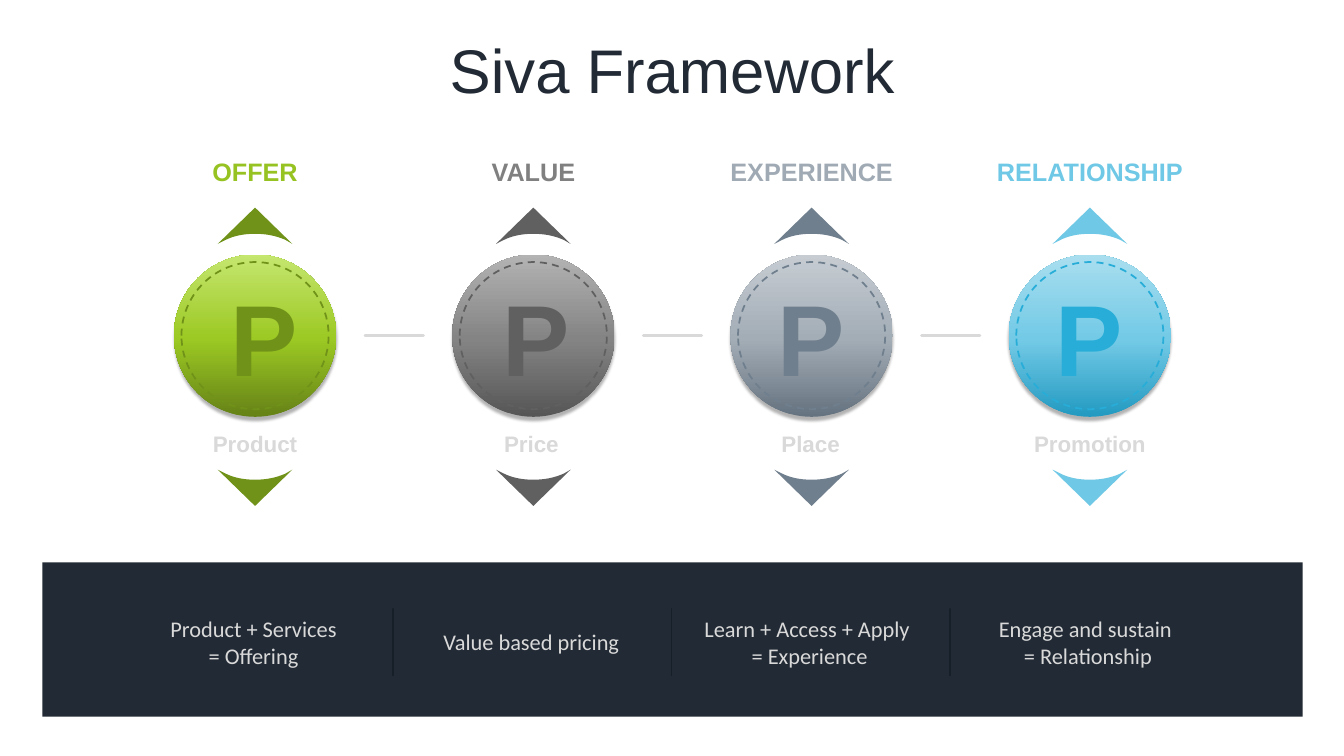
from copy import deepcopy

from lxml import etree
from pptx import Presentation
from pptx.dml.color import RGBColor
from pptx.enum.dml import MSO_LINE
from pptx.enum.shapes import MSO_CONNECTOR, MSO_SHAPE
from pptx.enum.text import MSO_AUTO_SIZE, PP_ALIGN
from pptx.oxml.ns import qn
from pptx.util import Inches, Pt

STRAIGHT = MSO_CONNECTOR.STRAIGHT
OVAL, RECTANGLE = MSO_SHAPE.OVAL, MSO_SHAPE.RECTANGLE
DASH = MSO_LINE.DASH
CENTER = PP_ALIGN.CENTER
GROW = MSO_AUTO_SIZE.SHAPE_TO_FIT_TEXT

NAVY, PALE, DIVIDER = "222A35", "D9D9D9", "161F28"
FIRST_CENTER, COLUMN_STEP = 2.53, 2.76
COIN_CENTER = 3.33

# Offsets from the arrow tip; the last six points are two Bézier curves.
ARROW_OUTLINE = [(0.37, 0.36), (-0.37, 0.36), (-0.29, 0.32),
                 (-0.21, 0.28), (-0.11, 0.26), (0, 0.26),
                 (0.11, 0.26), (0.21, 0.28), (0.3, 0.32)]

HEADING = {"size": Pt(18), "name": "Arial", "bold": True}
LETTER = {"size": Pt(72), "name": "Arial", "bold": True}
LABEL = {"size": Pt(16), "name": "Arial", "bold": True}
FORMULA = {"size": Pt(16), "name": "Calibri"}
TITLE = {"size": Pt(44), "name": "Arial"}

# Shifts are the offsets of the letter, label and formula from the column center.
COLUMNS = [
    {"heading": "OFFER", "heading_color": "96C222", "heading_width": 1.61,
     "label": "Product", "formula": ["Product + Services ", "= Offering "],
     "letter_color": "709219", "arrow_color": "709219",
     "gradient": ["658217", "9CC923", "C5E66F"], "shifts": (0.09, 0, 0.01)},
    {"heading": "VALUE", "heading_color": "808080", "heading_width": 1.61,
     "label": "Price", "formula": ["Value based pricing"],
     "letter_color": "606060", "arrow_color": "606060",
     "gradient": ["565656", "848484", "B3B3B3"], "shifts": (0.03, -0.02, -0.02)},
    {"heading": "EXPERIENCE", "heading_color": "A0AAB4", "heading_width": 1.99,
     "label": "Place", "formula": ["Learn + Access + Apply ", "= Experience"],
     "letter_color": "707F8E", "arrow_color": "707F8E",
     "gradient": ["65727F", "A3ADB6", "C6CCD2"], "shifts": (0, -0.01, -0.02)},
    {"heading": "RELATIONSHIP", "heading_color": "6FC8E5", "heading_width": 2.2,
     "label": "Promotion", "formula": ["Engage and sustain ", "= Relationship"],
     "letter_color": "27ADD8", "arrow_color": "6FC8E5",
     "gradient": ["239AC1", "73CAE6", "A9DEEF"], "shifts": (-0.01, 0, -0.02)},
]


def rgb(color):
    return RGBColor.from_string(color)


def add_text(slide, center, top, width, height, lines, color, font_format):
    box = slide.shapes.add_textbox(
        Inches(center - width / 2), Inches(top), Inches(width), Inches(height))
    frame = box.text_frame
    frame.word_wrap = True
    frame.auto_size = GROW
    for index, line in enumerate(lines):
        paragraph = frame.paragraphs[0] if index == 0 else frame.add_paragraph()
        paragraph.alignment = CENTER
        run = paragraph.add_run()
        run.text = line
        run.font.color.rgb = rgb(color)
        for name, value in font_format.items():
            setattr(run.font, name, value)


def add_line(slide, start, end, color, width):
    line = slide.shapes.add_connector(STRAIGHT, *map(Inches, start + end))
    line.line.color.rgb = rgb(color)
    line.line.width = Pt(width)
    properties = line._element.spPr
    properties.find(qn("a:ln")).set("cap", "rnd")
    etree.SubElement(properties, qn("a:effectLst"))


def fill_plain(shape, color):
    shape.shadow.inherit = False
    shape.fill.solid()
    shape.fill.fore_color.rgb = rgb(color)
    shape.line.fill.background()


def add_circle(slide, center, diameter):
    corner = Inches(center - diameter / 2), Inches(COIN_CENTER - diameter / 2)
    circle = slide.shapes.add_shape(OVAL, *corner, Inches(diameter), Inches(diameter))
    circle.shadow.inherit = False
    return circle


def set_gradient(shape, colors):
    """Fill from bottom to top with three colors."""
    shape.fill.gradient()
    shape.fill.gradient_angle = 90
    stop_list = shape._element.spPr.find(".//" + qn("a:gsLst"))
    stop_list.append(deepcopy(stop_list[0]))
    for stop, position, color in zip(shape.fill.gradient_stops, (0, 0.48, 1), colors):
        stop.position = position
        stop.color.rgb = rgb(color)


def add_drop_shadow(shape):
    effects = shape._element.spPr.find(qn("a:effectLst"))
    shadow = etree.SubElement(
        effects, qn("a:outerShdw"), blurRad=str(Pt(2)), dist=str(Pt(3)),
        dir="5400000", algn="t", rotWithShape="0")
    color = etree.SubElement(shadow, qn("a:srgbClr"), val="000000")
    etree.SubElement(color, qn("a:alpha"), val="30000")


def add_coin(slide, center, gradient, rim_color):
    coin = add_circle(slide, center, 1.61)
    set_gradient(coin, gradient)
    coin.line.fill.background()
    add_drop_shadow(coin)
    rim = add_circle(slide, center, 1.46)
    rim.fill.background()
    rim.line.color.rgb = rgb(rim_color)
    rim.line.width = Pt(1.25)
    rim.line.dash_style = DASH


def curve_last_segments(shape, count):
    """Turn the last segments of the outline, three by three, into Bézier curves."""
    segments = shape._element.spPr.findall(".//" + qn("a:lnTo"))[-count:]
    for start in range(0, count, 3):
        curve = etree.Element(qn("a:cubicBezTo"))
        segments[start].addprevious(curve)
        for segment in segments[start:start + 3]:
            curve.append(segment[0])
            segment.getparent().remove(segment)


def add_arrow(slide, center, tip, direction, color):
    """Draw an arrowhead with a curved base; direction 1 points up, -1 down."""
    right, *others = [(Inches(center + across), Inches(tip + direction * depth))
                      for across, depth in ARROW_OUTLINE]
    builder = slide.shapes.build_freeform(*right)
    builder.add_line_segments([(Inches(center), Inches(tip)), *others], close=True)
    arrow = builder.convert_to_shape()
    curve_last_segments(arrow, 6)
    fill_plain(arrow, color)


def add_footer_band(slide):
    band = slide.shapes.add_shape(
        RECTANGLE, Inches(0.42), Inches(5.58), Inches(12.5), Inches(1.53))
    fill_plain(band, NAVY)


def add_column(slide, center, column):
    letter_shift, label_shift, formula_shift = column["shifts"]
    add_text(slide, center, 1.5, column["heading_width"], 0.4, [column["heading"]],
             column["heading_color"], HEADING)
    add_arrow(slide, center, 2.06, 1, column["arrow_color"])
    add_arrow(slide, center, 5.02, -1, column["arrow_color"])
    add_coin(slide, center, column["gradient"], column["letter_color"])
    add_text(slide, center + letter_shift, 2.69, 2.2, 1.31, ["P"],
             column["letter_color"], LETTER)
    add_text(slide, center + label_shift, 4.22, 1.61, 0.37, [column["label"]],
             PALE, LABEL)
    formula_height = 0.1 + 0.27 * len(column["formula"])
    add_text(slide, center + formula_shift, 6.37 - formula_height / 2, 2.48,
             formula_height, column["formula"], PALE, FORMULA)


def main():
    presentation = Presentation()
    presentation.slide_width = Inches(13.33)
    presentation.slide_height = Inches(7.5)
    slide = presentation.slides.add_slide(presentation.slide_layouts[6])

    add_footer_band(slide)
    add_text(slide, 6.67, 0.27, 5.76, 0.84, ["Siva Framework"], NAVY, TITLE)
    for index, column in enumerate(COLUMNS):
        center = FIRST_CENTER + index * COLUMN_STEP
        add_column(slide, center, column)
        if index < len(COLUMNS) - 1:
            middle = center + COLUMN_STEP / 2
            add_line(slide, (middle - 0.29, COIN_CENTER),
                     (middle + 0.29, COIN_CENTER), PALE, 2)
            add_line(slide, (middle - 0.01, 6.7), (middle - 0.01, 6.04),
                     DIVIDER, 1.25)

    presentation.save("out.pptx")


if __name__ == "__main__":
    main()
